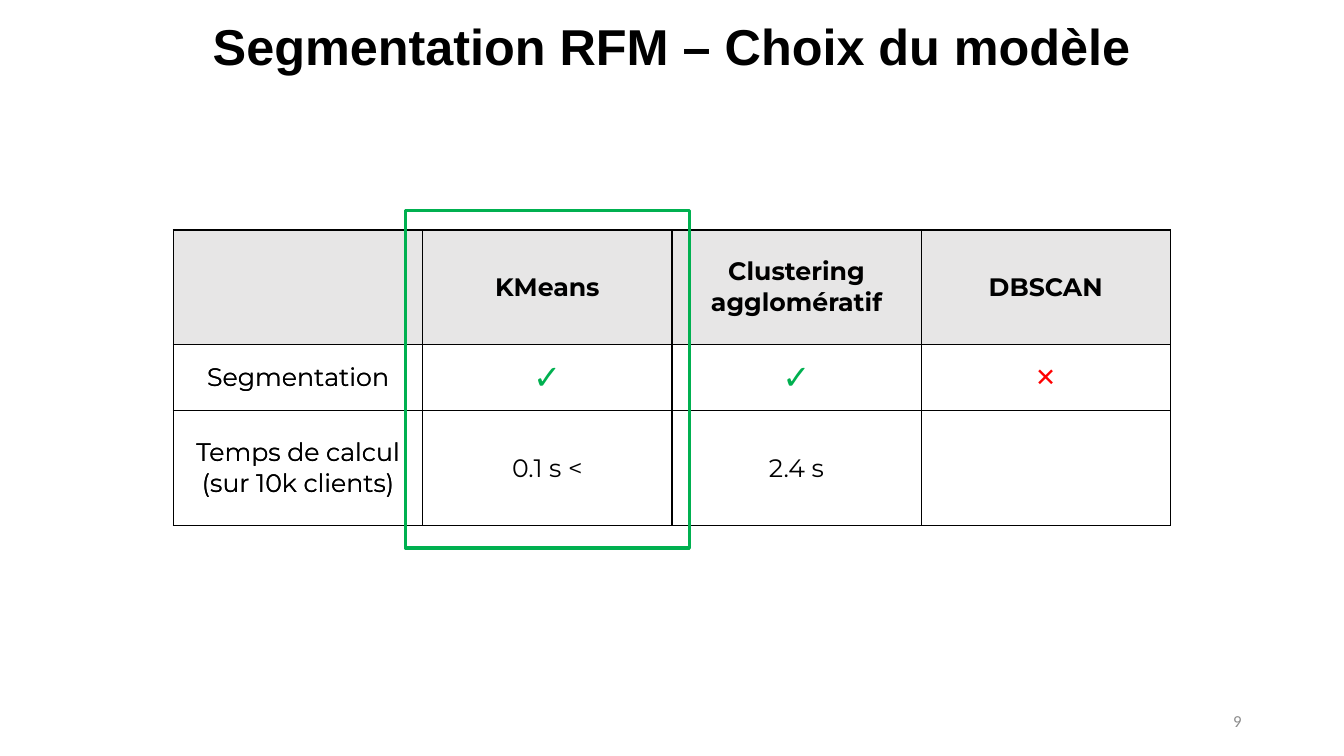
from lxml import etree
from pptx import Presentation
from pptx.dml.color import RGBColor
from pptx.enum.shapes import MSO_SHAPE as Shape
from pptx.enum.text import MSO_ANCHOR as Anchor, PP_ALIGN as Align
from pptx.oxml.ns import qn
from pptx.util import Pt

BLACK = RGBColor(0x00, 0x00, 0x00)
WHITE = RGBColor(0xFF, 0xFF, 0xFF)
PALE = RGBColor(0xE7, 0xE6, 0xE6)
GRAY = RGBColor(0x8C, 0x8C, 0x8C)
GREEN = RGBColor(0x00, 0xB0, 0x50)
RED = RGBColor(0xFF, 0x00, 0x00)

MARKS = {"✓": (24, GREEN), "✕": (18, RED)}
HEADS = ["", "KMeans", "Clustering agglomératif", "DBSCAN"]
LABELS = ["Segmentation", "Temps de calcul (sur 10k clients)"]
BLANKS = [["", "", ""], ["", "", ""]]
RESULTS = [["✓", "✓", "✕"], ["0.1 s <", "2.4 s", ""]]
HEIGHTS = [81.75, 47.5, 81.75]
COL = 178


def write(frame, text, name, size, color, bold=False, align=Align.CENTER):
    frame.text = text
    par = frame.paragraphs[0]
    par.alignment = align
    par.font.size = Pt(size)
    for run in par.runs:
        font = run.font
        font.name, font.size, font.bold = name, Pt(size), bold
        font.color.rgb = color
    return par


def border(cell):
    """Draw a thin black line on all four sides of the cell."""
    props = cell._tc.get_or_add_tcPr()
    for side in ("lnL", "lnR", "lnT", "lnB"):
        line = etree.SubElement(props, qn(f"a:{side}"), w=str(Pt(1)))
        fill = etree.SubElement(line, qn("a:solidFill"))
        etree.SubElement(fill, qn("a:srgbClr"), val=str(BLACK))


prs = Presentation()
prs.slide_width, prs.slide_height = Pt(960), Pt(540)
slide = prs.slides.add_slide(prs.slide_layouts[6])
shapes = slide.shapes

# Title and page number
title = shapes.add_textbox(Pt(66), Pt(0), Pt(828), Pt(70.5)).text_frame
page = shapes.add_textbox(Pt(678), Pt(500.5), Pt(216), Pt(28.75)).text_frame
for frame in (title, page):
    frame.word_wrap = True
    frame.vertical_anchor = Anchor.MIDDLE
head = write(title, "Segmentation RFM – Choix du modèle", "Arial", 36, BLACK, True)
head.line_spacing = 0.9
write(page, "9", "Calibri", 12, GRAY, align=Align.RIGHT)

# Base grid with white cells, then the same grid with the results on top
for values, base in ((BLANKS, WHITE), (RESULTS, None)):
    rows = [HEADS] + [[label] + row for label, row in zip(LABELS, values)]
    table = shapes.add_table(len(rows), len(HEADS), Pt(124), Pt(164.25),
                             Pt(COL * len(HEADS)), Pt(sum(HEIGHTS))).table
    for col in table.columns:
        col.width = Pt(COL)
    for r, (texts, height) in enumerate(zip(rows, HEIGHTS)):
        table.rows[r].height = Pt(height)
        for c, text in enumerate(texts):
            cell = table.cell(r, c)
            border(cell)
            color = PALE if r == 0 else base if c else None
            if color is None:
                cell.fill.background()
            else:
                cell.fill.solid()
                cell.fill.fore_color.rgb = color
            cell.vertical_anchor = Anchor.MIDDLE
            size, ink = MARKS.get(text, (18, BLACK))
            write(cell.text_frame, text, "Montserrat", size, ink, r == 0 or text in MARKS)

# Frame around the chosen model
choice = shapes.add_shape(Shape.RECTANGLE, Pt(289.5), Pt(150.5), Pt(203), Pt(241))
choice.shadow.inherit = False
choice.fill.background()
choice.line.color.rgb = GREEN
choice.line.width = Pt(2.25)

prs.save("out.pptx")
